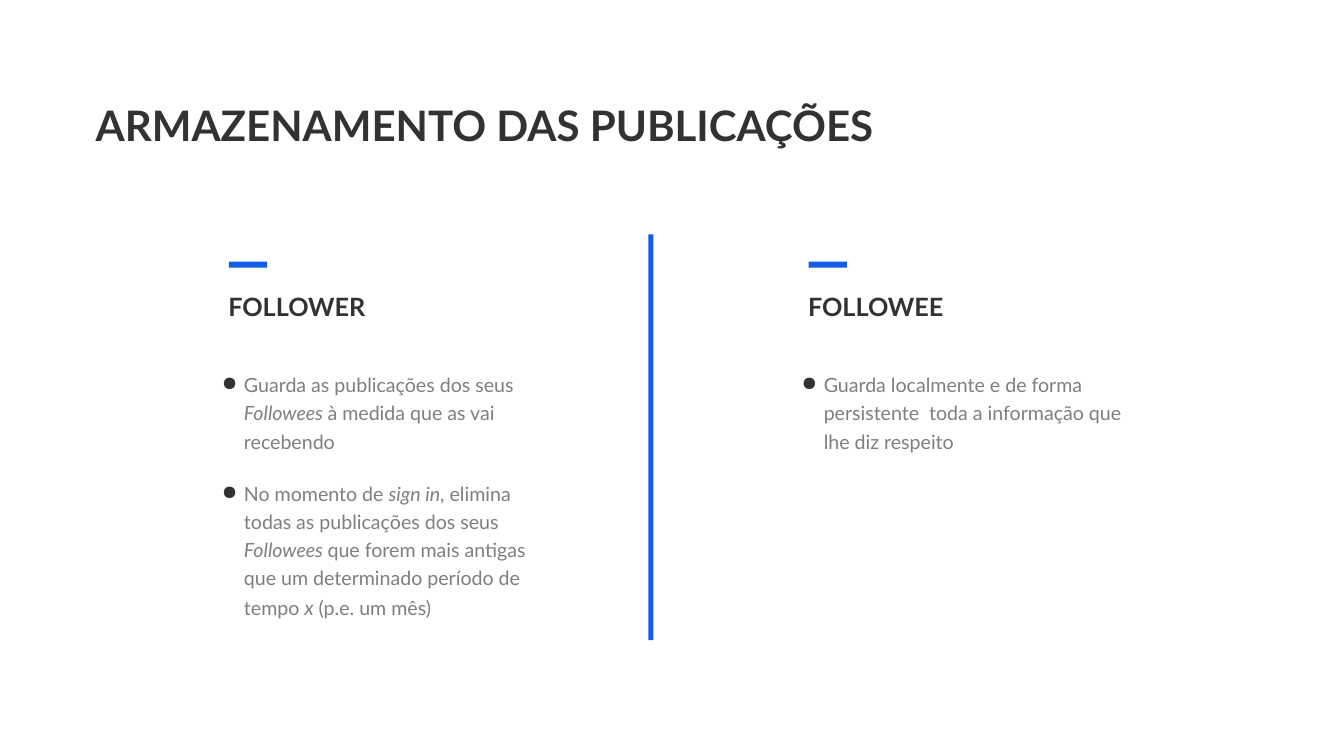
import pptx
import pptx.dml.color
import pptx.enum.shapes
import pptx.oxml.ns
import pptx.util
from lxml import etree
from pptx.util import Inches

COLORS = {"background": "FEFFFE", "dark": "323232", "gray": "7F7F7F", "blue": "145DE8"}

TITLE = {"size": pptx.util.Pt(60), "bold": True}
HEADING = {"size": pptx.util.Pt(36), "bold": True}
BODY = {"size": pptx.util.Pt(28)}
ITALIC = {**BODY, "italic": True}
VARIABLE = {"size": pptx.util.Pt(29), "italic": True}

# Each column: left edge, heading, size of the list box, list items made of spans
COLUMNS = [
    (4.1, "FOLLOWER", (7.14, 3.93), [
        [("Guarda as publicações dos seus ", BODY), ("Followees ", ITALIC),
         ("à medida que as vai recebendo", BODY)],
        [("No momento de ", BODY), ("sign in", ITALIC),
         (", elimina todas as publicações dos seus ", BODY), ("Followees ", ITALIC),
         ("que forem mais antigas que um determinado período de tempo ", BODY),
         ("x ", VARIABLE), ("(p.e. um mês)", BODY)],
    ]),
    (15.6, "FOLLOWEE", (6.98, 4.1), [
        [("Guarda localmente e de forma persistente  toda a informação que "
          "lhe diz respeito", BODY)],
    ]),
]


def rgb(name):
    return pptx.dml.color.RGBColor.from_string(COLORS[name])


def add_span(para, text, color, style):
    span = para.add_run()
    span.text = text
    span.font.name = "Lato"
    span.font.color.rgb = rgb(color)
    for name, value in style.items():
        setattr(span.font, name, value)


def add_box(page, left, top, width, height, margin_x=0.1, margin_y=0.05):
    box = page.shapes.add_textbox(Inches(left), Inches(top), Inches(width), Inches(height))
    frame = box.text_frame
    layout = {
        "word_wrap": True,
        "margin_left": Inches(margin_x), "margin_right": Inches(margin_x),
        "margin_top": Inches(margin_y), "margin_bottom": Inches(margin_y),
    }
    for name, value in layout.items():
        setattr(frame, name, value)
    return frame


def add_label(page, left, top, width, height, text, style):
    frame = add_box(page, left, top, width, height)
    add_span(frame.paragraphs[0], text, "dark", style)


def add_bar(page, left, top, width, height):
    bar = page.shapes.add_shape(
        pptx.enum.shapes.MSO_SHAPE.RECTANGLE,
        Inches(left), Inches(top), Inches(width), Inches(height))
    bar.shadow.inherit = False
    bar.fill.solid()
    bar.fill.fore_color.rgb = rgb("blue")
    bar.line.fill.background()


def set_bullet(para):
    qn = pptx.oxml.ns.qn
    properties = para._p.get_or_add_pPr()
    properties.set("marL", str(Inches(0.5)))
    properties.set("indent", str(Inches(-0.44)))
    color = etree.SubElement(properties, qn("a:buClr"))
    etree.SubElement(color, qn("a:srgbClr"), val=COLORS["dark"])
    etree.SubElement(properties, qn("a:buChar"), char="●")


def add_list(page, left, top, size, items):
    frame = add_box(page, left, top, *size, margin_x=0.24, margin_y=0.12)
    for index, spans in enumerate(items):
        para = frame.add_paragraph() if index else frame.paragraphs[0]
        set_bullet(para)
        para.line_spacing = 1.2
        if index:
            para.space_before = pptx.util.Pt(34)
        for text, style in spans:
            add_span(para, text, "gray", style)


def add_column(page, left, heading, size, items):
    add_bar(page, left + 0.44, 5.19, 0.76, 0.12)
    add_label(page, left + 0.33, 5.73, 4.66, 0.71, heading, HEADING)
    add_list(page, left, 7.19, size, items)


def main():
    deck = pptx.Presentation()
    deck.slide_width, deck.slide_height = Inches(26.66), Inches(15)
    page = deck.slides.add_slide(deck.slide_layouts[6])
    page.background.fill.solid()
    page.background.fill.fore_color.rgb = rgb("background")

    # Title
    add_label(page, 1.8, 1.93, 17.25, 1.11, "ARMAZENAMENTO DAS PUBLICAÇÕES", TITLE)

    # Two columns and the divider between them
    for column in COLUMNS:
        add_column(page, *column)
    add_bar(page, 12.86, 4.65, 0.1, 8.05)

    deck.save("out.pptx")


if __name__ == "__main__":
    main()
